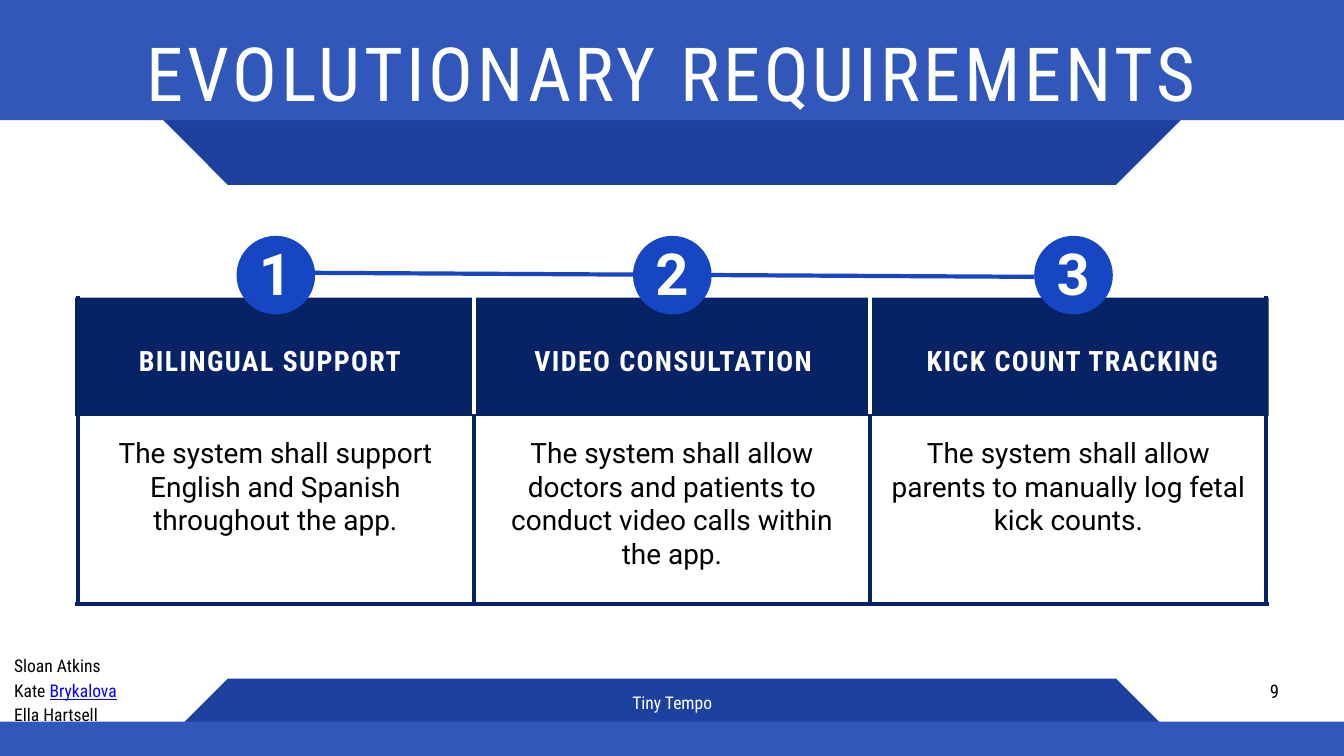
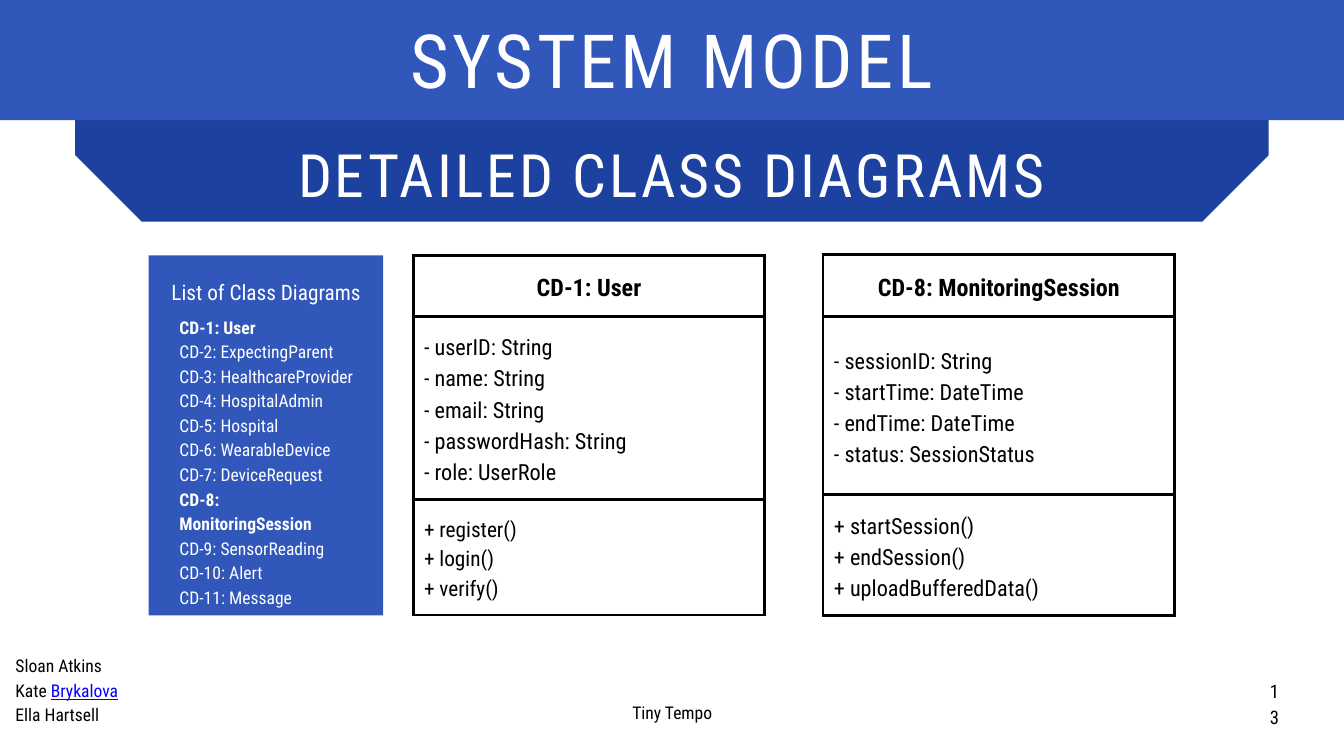
"""Build the evolutionary requirements and class diagram slides."""
from lxml.etree import SubElement
from pptx import Presentation
from pptx.dml.color import RGBColor
from pptx.enum.shapes import MSO_CONNECTOR, MSO_SHAPE
from pptx.enum.text import MSO_ANCHOR, MSO_AUTO_SIZE, PP_ALIGN
from pptx.oxml.ns import qn
from pptx.util import Pt

PX = 9144
COLORS = {
    "band": "3157BB", "octagon": "1D419F", "navy": "082266", "accent": "1646C4",
    "white": "FFFFFF", "black": "000000", "underlined": "0000FF",
}
CONDENSED = "Roboto Condensed"
LEFT, CENTER, JUSTIFY = PP_ALIGN.LEFT, PP_ALIGN.CENTER, PP_ALIGN.JUSTIFY


def write_lines(frame, lines, size, line_height, color="black", align=CENTER,
                bold=False, font=CONDENSED, tracking=0):
    """Fill a text frame with one styled paragraph per line."""
    frame.text = "\n".join(lines)
    for paragraph in frame.paragraphs:
        paragraph.alignment = align
        paragraph.line_spacing = Pt(line_height)
        for run in paragraph.runs:
            run.font.name = font
            run.font.size = Pt(size)
            run.font.bold = bold
            run.font.color.rgb = RGBColor.from_string(COLORS[color])
            if tracking:
                run.font._element.set("spc", str(round(tracking * 100)))


def add_text(slide, box, lines, size, line_height, **style):
    """Add a wrapped text box without margins and return its frame."""
    frame = slide.shapes.add_textbox(*[value * PX for value in box]).text_frame
    frame.margin_left = frame.margin_right = frame.margin_top = frame.margin_bottom = 0
    frame.word_wrap = True
    frame.auto_size = MSO_AUTO_SIZE.SHAPE_TO_FIT_TEXT
    write_lines(frame, lines, size, line_height, **style)
    return frame


presentation = Presentation()
presentation.slide_width = 2000 * PX
presentation.slide_height = 1125 * PX
requirements, model = [
    presentation.slides.add_slide(presentation.slide_layouts[6]) for _ in range(2)
]
filled = []

CUT = 99
for slide, left, top, right, bottom in [
    (requirements, 240, -119, 1760, 275),
    (requirements, 240, 1010, 1760, 1369),
    (model, 112, -226, 1888, 330),
]:
    builder = slide.shapes.build_freeform(right - CUT, top, scale=PX)
    builder.add_line_segments([
        (right, top + CUT), (right, bottom - CUT), (right - CUT, bottom),
        (left + CUT, bottom), (left, bottom - CUT), (left, top + CUT), (left + CUT, top),
    ])
    filled.append((builder.convert_to_shape(), "octagon"))

TOP_BAND = (-19, -158, 2038, 337)
for slide, box, color in [
    (requirements, TOP_BAND, "band"),
    (requirements, (-19, 1074, 2038, 98), "band"),
    (requirements, (112, 443, 1776, 176), "navy"),
    (model, TOP_BAND, "band"),
    (model, (221, 380, 349, 536), "band"),
]:
    rectangle = slide.shapes.add_shape(MSO_SHAPE.RECTANGLE, *[value * PX for value in box])
    filled.append((rectangle, color))

for x1, y1, x2, y2, color in [
    (116, 902, 116, 440, "navy"),
    (1888, 899, 112, 899, "navy"),
    (469, 406, 1539, 412, "accent"),
    (705, 902, 705, 616, "navy"),
    (705, 616, 705, 440, "white"),
    (1295, 616, 1295, 440, "white"),
    (1295, 902, 1295, 616, "navy"),
    (1884, 902, 1884, 440, "navy"),
]:
    connector = requirements.shapes.add_connector(
        MSO_CONNECTOR.STRAIGHT, x1 * PX, y1 * PX, x2 * PX, y2 * PX)
    connector.line.width = Pt(4.5)
    connector.line.color.rgb = RGBColor.from_string(COLORS[color])
    SubElement(connector._element.spPr, qn("a:effectLst"))

for slide, top, title in [
    (requirements, 57, "EVOLUTIONARY REQUIREMENTS"),
    (model, 37, "SYSTEM MODEL"),
]:
    add_text(slide, (162, top, 1676, 122), [title], 80, 84, color="white", tracking=4)

for number, circle_left, heading_left, body_left, heading, body in [
    ("1", 352, 135, 143, "BILINGUAL SUPPORT",
     "The system shall support English and Spanish throughout the app."),
    ("2", 942, 735, 733, "VIDEO CONSULTATION",
     "The system shall allow doctors and patients to conduct video calls within the app."),
    ("3", 1539, 1329, 1323, "KICK COUNT TRACKING",
     "The system shall allow parents to manually log fetal kick counts."),
]:
    circle = requirements.shapes.add_shape(
        MSO_SHAPE.OVAL, circle_left * PX, 351 * PX, 117 * PX, 117 * PX)
    filled.append((circle, "accent"))
    add_text(requirements, (circle_left + 26, 363, 64, 97), [number], 62, 68.2,
             color="white", bold=True, font="Roboto", tracking=3.1)
    add_text(requirements, (heading_left, 515, 534, 49), [heading], 30, 33,
             color="white", bold=True, tracking=1.5)
    add_text(requirements, (body_left, 648, 534, 152), [body], 30, 36, font="Roboto")

add_text(model, (162, 218, 1676, 98), ["DETAILED CLASS DIAGRAMS"], 64, 67.2,
         color="white", tracking=3.2)
add_text(model, (255, 410, 282, 43), ["List of Class Diagrams"], 22.8, 31.9, color="white")
class_names = [
    "User", "ExpectingParent", "HealthcareProvider", "HospitalAdmin", "Hospital",
    "WearableDevice", "DeviceRequest", "MonitoringSession", "SensorReading", "Alert",
    "Message",
]
diagrams = [f"CD-{number}: {name}" for number, name in enumerate(class_names, 1)]
diagram_list = add_text(model, (267, 466, 262, 401), diagrams, 18.8, 26.3,
                        color="white", align=JUSTIFY)
for shown in (0, 7):
    diagram_list.paragraphs[shown].runs[0].font.bold = True

for left, top, heights, title, attributes, methods, method_size, method_height in [
    (615, 380, (91, 272, 172), diagrams[0],
     ["- userID: String", "- name: String", "- email: String",
      "- passwordHash: String", "- role: UserRole"],
     ["+ register()", "+ login()", "+ verify()"], 22.8, 31.9),
    (1225, 379, (92, 265, 180), diagrams[7],
     ["- sessionID: String", "- startTime: DateTime", "- endTime: DateTime",
      "- status: SessionStatus"],
     ["+ startSession()", "+ endSession()", "+ uploadBufferedData()"], 23.8, 33.3),
]:
    table = model.shapes.add_table(
        3, 1, left * PX, top * PX, 523 * PX, sum(heights) * PX).table
    table.first_row = table.horz_banding = False
    contents = [
        ([title], 25.8, 36.1, CENTER, True),
        (attributes, 23.8, 33.3, LEFT, False),
        (methods, method_size, method_height, LEFT, False),
    ]
    for row, height, (lines, size, line_height, align, bold) in zip(
            table.rows, heights, contents):
        row.height = height * PX
        cell = row.cells[0]
        cell.vertical_anchor = MSO_ANCHOR.MIDDLE
        cell.margin_left = cell.margin_right = 16 * PX
        cell.margin_top = cell.margin_bottom = 16 * PX
        write_lines(cell.text_frame, lines, size, line_height, align=align, bold=bold)
        properties = cell._tc.get_or_add_tcPr()
        for side in ("lnL", "lnR", "lnT", "lnB"):
            border = SubElement(properties, qn(f"a:{side}"), w=str(Pt(3)))
            border_fill = SubElement(border, qn("a:solidFill"))
            SubElement(border_fill, qn("a:srgbClr"), val=COLORS["black"])
        cell.fill.background()

for slide, names_left, page, footer_top, footer_color in [
    (requirements, 21, "9", 1024, "white"),
    (model, 23, "13", 1040, "black"),
]:
    names = add_text(slide, (names_left, 970, 217, 109),
                     ["Sloan Atkins", "Kate ", "Ella Hartsell"], 18.8, 26.3, align=LEFT)
    surname = names.paragraphs[1].add_run()
    surname.text = "Brykalova"
    surname.font.name = CONDENSED
    surname.font.size = Pt(18.8)
    surname.font.underline = True
    surname.font.color.rgb = RGBColor.from_string(COLORS["underlined"])
    add_text(slide, (1888, 1006, 17, 23), [page], 20, 28)
    add_text(slide, (892, footer_top, 217, 36), ["Tiny Tempo"], 18.8, 26.3,
             color=footer_color)

for shape, color in filled:
    shape.shadow.inherit = False
    shape.fill.solid()
    shape.fill.fore_color.rgb = RGBColor.from_string(COLORS[color])
    shape.line.fill.background()

presentation.save("out.pptx")
